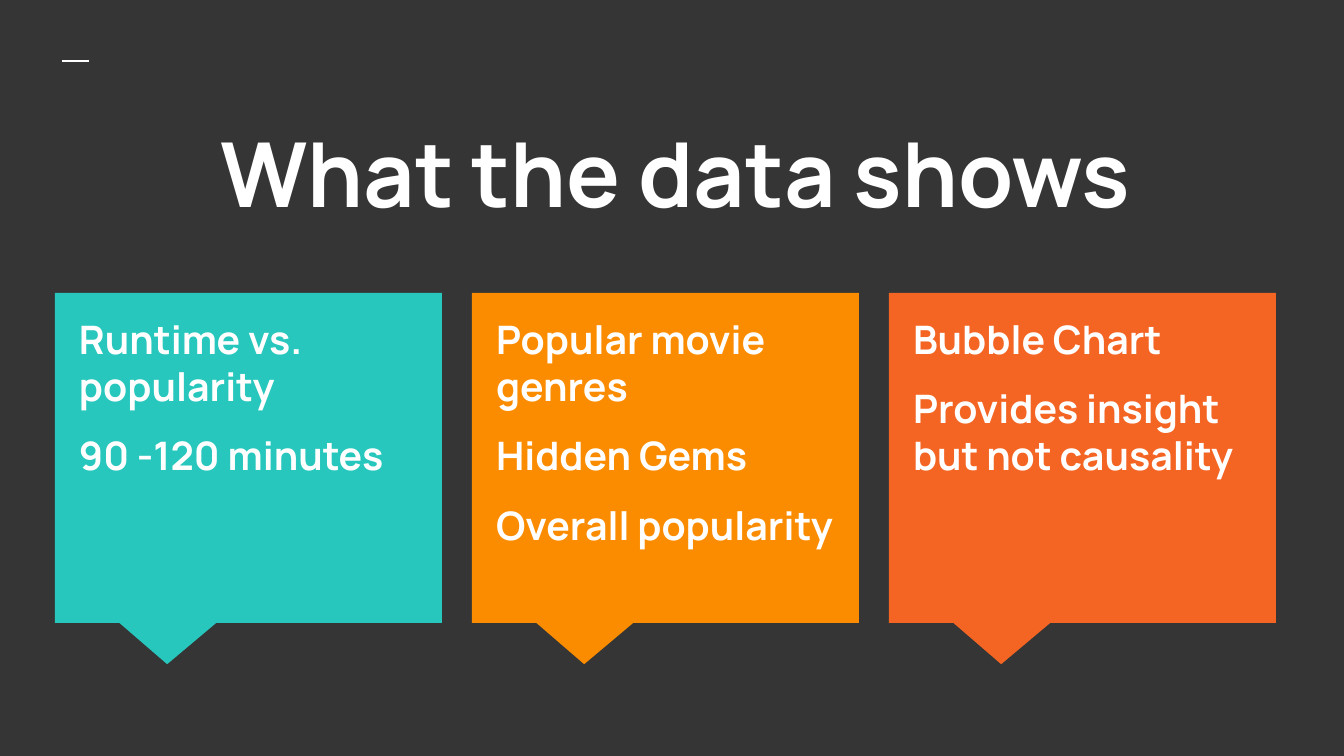
from lxml.etree import SubElement as Sub
from pptx import Presentation
from pptx.dml.color import RGBColor
from pptx.enum.shapes import MSO_CONNECTOR as Conn, MSO_SHAPE as Kind
from pptx.enum.text import MSO_ANCHOR as Anchor, MSO_AUTO_SIZE as Fit, PP_ALIGN as Align
from pptx.oxml.ns import qn
from pptx.util import Pt

SCALE = 914400 / 134.4  # EMU per px


def px(n):
    return round(n * SCALE)


def color(code):
    return RGBColor.from_string(code)


class Deck:
    font, ink, back = "Manrope", "FFFFFF", "353535"

    def __init__(self, wide, high):
        self.file = Presentation()
        self.file.slide_width, self.file.slide_height = px(wide), px(high)

    def page(self, layout):
        self.slide = self.file.slides.add_slide(self.file.slide_layouts[layout])
        fill = self.slide.background.fill
        fill.solid()
        fill.fore_color.rgb = color(self.back)

    def line(self, x1, y1, x2, y2, width):
        line = self.slide.shapes.add_connector(Conn.STRAIGHT, px(x1), px(y1), px(x2), px(y2))
        line.line.color.rgb = color(self.ink)
        line.line.width = Pt(width)
        Sub(line._element.spPr, qn("a:effectLst"))

    def callout(self, x, y, w, h, fill):
        box = self.slide.shapes.add_shape(Kind.RECTANGULAR_CALLOUT, px(x), px(y), px(w), px(h))
        box.adjustments[0], box.adjustments[1] = -0.21, 0.625
        box.shadow.inherit = False
        box.fill.solid()
        box.fill.fore_color.rgb = color(fill)
        box.line.fill.background()

    def text(self, idx, x, y, w, h, lines, size, align=Align.LEFT):
        box = self.slide.placeholders[idx]
        box.left, box.top, box.width, box.height = px(x), px(y), px(w), px(h)
        self.slide.shapes._spTree.append(box._element)  # bring to front
        frame = box.text_frame
        frame.text = "\n".join(lines)
        frame.word_wrap, frame.auto_size = True, Fit.NONE
        frame.vertical_anchor = Anchor.TOP
        frame.margin_left = frame.margin_right = px(13)
        frame.margin_top = frame.margin_bottom = px(13)
        for i, para in enumerate(frame.paragraphs):
            para.alignment, para.line_spacing = align, 1.0
            para.space_before, para.space_after = Pt(12 if i else 0), Pt(0)
            # No bullet, no indent
            props = para._p.get_or_add_pPr()
            props.set("marL", "0")
            props.set("indent", "0")
            Sub(props, qn("a:buNone"))
            for run in para.runs:
                run.font.name, run.font.size = self.font, Pt(size)
                run.font.bold = True
                run.font.color.rgb = color(self.ink)

    def prune(self):
        for box in list(self.slide.placeholders):
            if not box.text_frame.text:
                box._element.getparent().remove(box._element)


# Fill, text width, text height, lines
CARDS = [
    ("27C7BD", 364, 294, ["Runtime vs. popularity", "90 -120 minutes"]),
    ("FB8C00", 375, 306, ["Popular movie genres", "Hidden Gems", "Overall popularity"]),
    ("F46524", 364, 294, ["Bubble Chart", "Provides insight but not causality"]),
]
LEFT, STEP = 55, 417


def main():
    deck = Deck(1344, 756)
    deck.page(4)

    # Heading
    deck.line(62, 61, 89, 61, 1.5)
    deck.text(0, 42, 105, 1267, 150, ["What the data shows"], 48, Align.CENTER)

    # Callout cards
    for i, (fill, wide, high, lines) in enumerate(CARDS):
        x = LEFT + i * STEP
        deck.callout(x, 293, 387, 330, fill)
        deck.text(i + 1, x + 11, 302, wide, high, lines, 21)

    deck.prune()
    deck.file.save("out.pptx")


if __name__ == "__main__":
    main()
